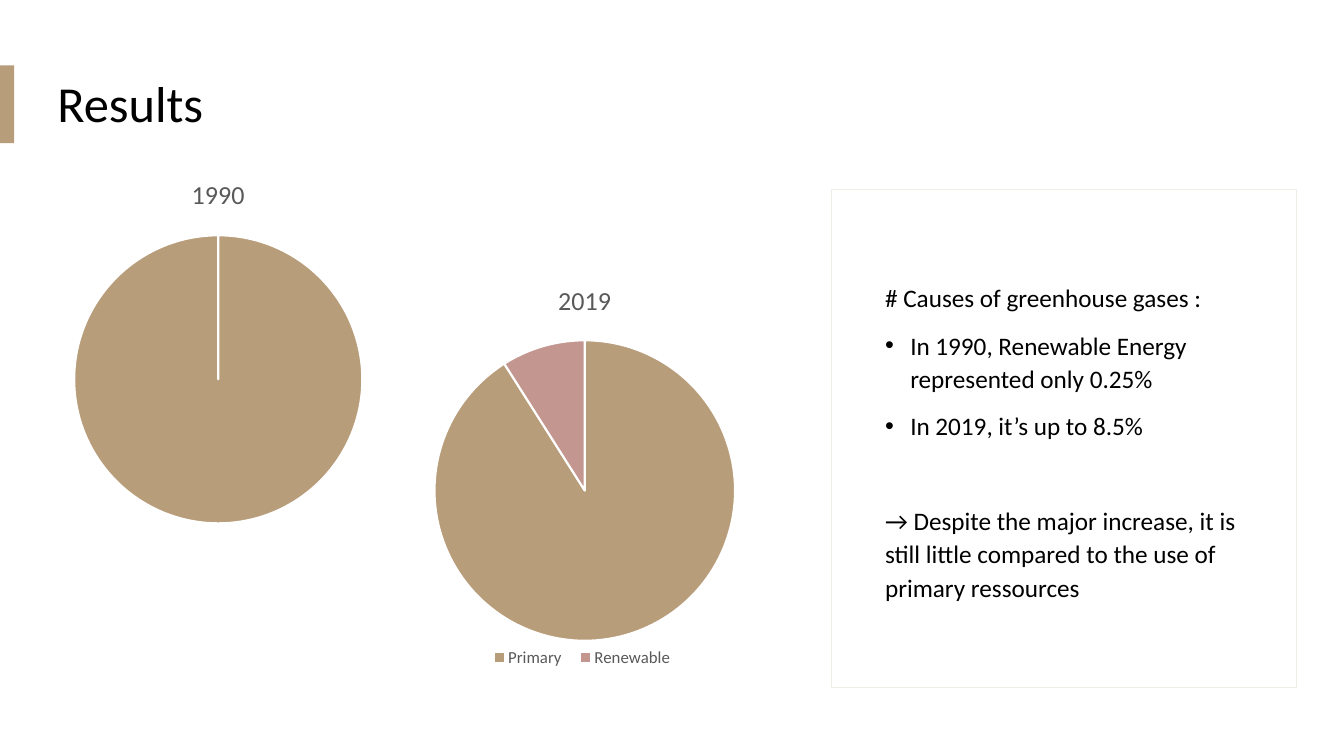
import lxml.etree
import pptx
import pptx.chart.data
import pptx.dml.color
import pptx.enum.chart
import pptx.enum.shapes
import pptx.enum.text
import pptx.oxml.ns
import pptx.util

Inches = pptx.util.Inches
Pt = pptx.util.Pt
qn = pptx.oxml.ns.qn

FONT = "Calibri"
TAN, ROSE = "B89D7B", "C39790"
BLACK, GRAY, WHITE = "000000", "595959", "FFFFFF"


def color(value):
    return pptx.dml.color.RGBColor.from_string(value)


def add_node(parent, tag, **attributes):
    node = lxml.etree.SubElement(parent, qn(tag))
    for name, value in attributes.items():
        node.set(name, str(value))
    return node


def format_font(font, size, hex_color):
    values = {"name": FONT, "size": Pt(size), "bold": False}
    for name, value in values.items():
        setattr(font, name, value)
    font.color.rgb = color(hex_color)


def add_rectangle(page, bounds, fill, line=None):
    box = page.shapes.add_shape(
        pptx.enum.shapes.MSO_SHAPE.RECTANGLE, *map(Inches, bounds))
    box.shadow.inherit = False
    box.fill.solid()
    box.fill.fore_color.rgb = color(fill)
    if line:
        box.line.color.rgb = color(line)
        box.line.width = Pt(0.75)
    else:
        box.line.fill.background()


def add_bullet(para):
    properties = para._p.get_or_add_pPr()
    properties.set("marL", str(Inches(0.25)))
    properties.set("indent", str(-Inches(0.25)))
    add_node(properties, "a:buFont", typeface="Arial")
    add_node(properties, "a:buChar", char="•")


def add_text(page, bounds, lines, size, line_spacing):
    """Write lines of (text, space before, bulleted) in a middle-anchored box."""
    frame = page.shapes.add_textbox(*map(Inches, bounds)).text_frame
    frame.word_wrap = True
    frame.vertical_anchor = pptx.enum.text.MSO_ANCHOR.MIDDLE
    for index, (text, space_before, bulleted) in enumerate(lines):
        para = frame.add_paragraph() if index else frame.paragraphs[0]
        para.line_spacing = line_spacing
        para.space_before = Pt(space_before)
        if bulleted:
            add_bullet(para)
        span = para.add_run()
        span.text = text
        format_font(span.font, size, BLACK)


def place_part(chart, tag, position, fractions):
    """Fix a chart part at x, y, w, h; position is its layout's child index."""
    part = chart.element.find(".//" + qn(tag))
    layout = part.find(qn("c:layout"))
    if layout is None:
        layout = add_node(part, "c:layout")
        part.insert(position, layout)
    manual = add_node(layout, "c:manualLayout")
    if tag == "c:plotArea":
        add_node(manual, "c:layoutTarget", val="inner")
    for side in "xy":
        add_node(manual, f"c:{side}Mode", val="edge")
    for side, fraction in zip("xywh", fractions):
        add_node(manual, f"c:{side}", val=fraction)


def add_pie(page, bounds, plot_bounds, year, categories, values,
            legend_bounds=None):
    data = pptx.chart.data.CategoryChartData()
    data.categories = categories
    data.add_series(year, values)
    chart = page.shapes.add_chart(
        pptx.enum.chart.XL_CHART_TYPE.PIE, *map(Inches, bounds), data).chart
    format_font(chart.font, 10, BLACK)

    chart.has_title = True
    chart.chart_title.include_in_layout = False
    title = chart.chart_title.text_frame
    title.text = year
    format_font(title.paragraphs[0].runs[0].font, 18.6, GRAY)

    plot = chart.plots[0]
    plot.vary_by_categories = True
    for index, fill in enumerate((TAN, ROSE)):
        wedge = plot.series[0].points[index].format
        wedge.fill.solid()
        wedge.fill.fore_color.rgb = color(fill)
        wedge.line.color.rgb = color(WHITE)
        wedge.line.width = Pt(1.5)
    place_part(chart, "c:plotArea", 0, plot_bounds)

    chart.has_legend = legend_bounds is not None
    if chart.has_legend:
        chart.legend.position = pptx.enum.chart.XL_LEGEND_POSITION.BOTTOM
        chart.legend.include_in_layout = False
        format_font(chart.legend.font, 12, GRAY)
        place_part(chart, "c:legend", 1, legend_bounds)


def main():
    deck = pptx.Presentation()
    deck.slide_width = Inches(13.33)
    deck.slide_height = Inches(7.5)
    page = deck.slides.add_slide(deck.slide_layouts[6])

    add_rectangle(page, (0, 0, 13.33, 7.5), WHITE)
    add_text(page, (0.47, 0.45, 12.25, 1.21), [("Results", 0, False)], 36, 0.9)
    add_rectangle(page, (0, 0.65, 0.14, 0.77), TAN)

    add_rectangle(page, (8.25, 1.88, 4.61, 4.94), WHITE, "F0EEE4")
    findings = [
        ("# Causes of greenhouse gases :", 10, False),
        ("In 1990, Renewable Energy represented only 0.25%", 10, True),
        ("In 2019, it’s up to 8.5%", 10, True),
        ("→ Despite the major increase, it is still little compared to "
         "the use of primary ressources", 44, False),
    ]
    add_text(page, (8.68, 2.21, 3.87, 4.33), findings, 18, 1.1)

    add_pie(page, (-0.14, 1.57, 4.61, 3.75), (0.19, 0.2, 0.62, 0.77),
            "1990", ("1", "2"), (100, 0))
    add_pie(page, (3.23, 2.62, 5.14, 4.2), (0.21, 0.18, 0.58, 0.71),
            "2019", ("Primary", "Renewable"), (91, 9),
            legend_bounds=(0.3, 0.89, 0.39, 0.08))

    deck.save("out.pptx")


if __name__ == "__main__":
    main()
